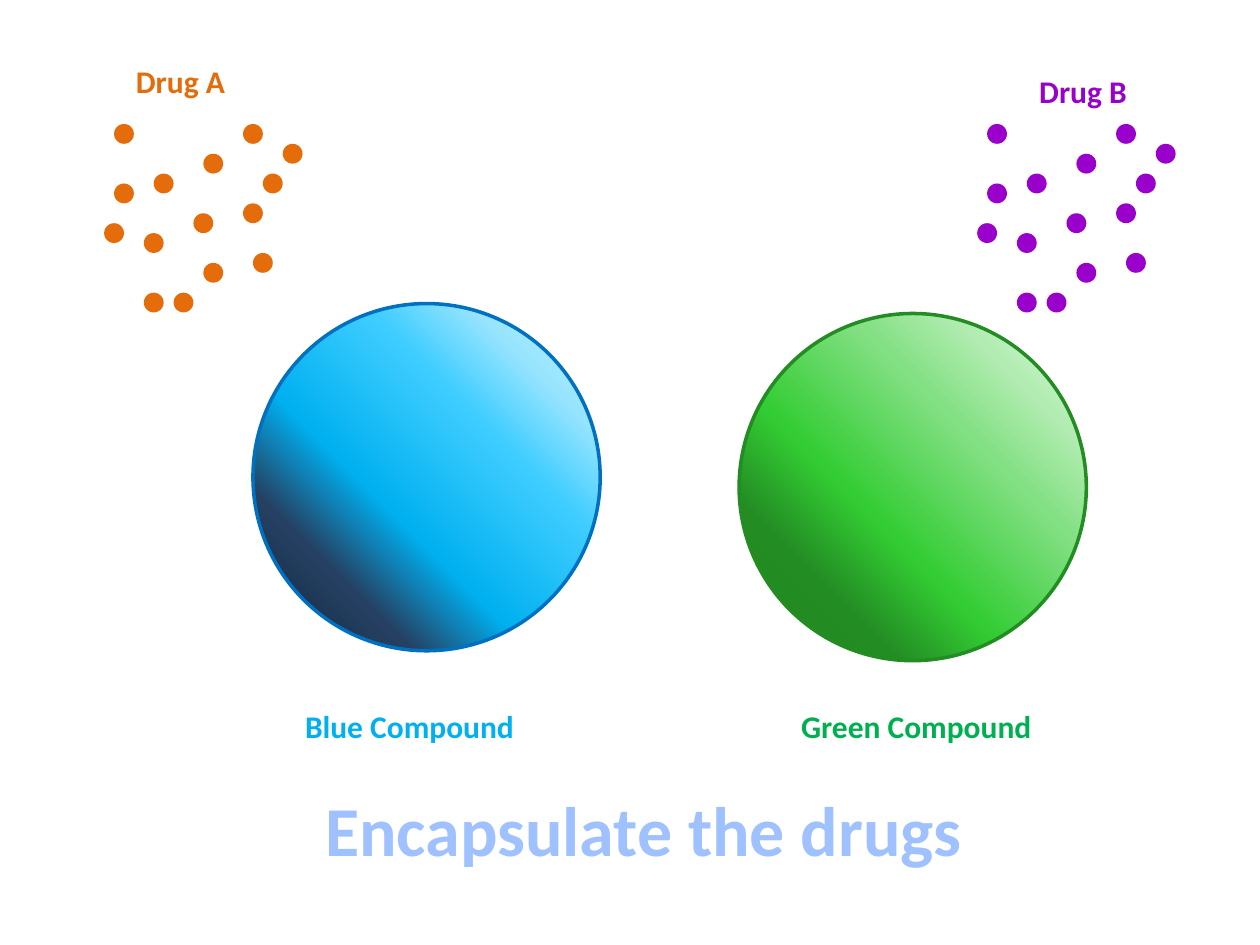
from typing import NamedTuple

from lxml.etree import SubElement
from pptx import Presentation
from pptx.dml.color import RGBColor
from pptx.enum.shapes import MSO_SHAPE
from pptx.enum.text import MSO_ANCHOR, MSO_AUTO_SIZE, PP_ALIGN
from pptx.oxml import parse_xml
from pptx.oxml.ns import nsdecls, qn
from pptx.util import Cm, Pt

FONT = "Calibri"
DOT_SIZE = 0.4
GRID_STEP = 0.2
CLOUD_TOP = 2.5
COMPOUND_SIZE = 7
DOT_CELLS = [
    (1, 0), (1, 6), (5, 5), (10, 3), (9, 9), (4, 11), (14, 8), (10, 14),
    (14, 0), (16, 5), (7, 17), (15, 13), (0, 10), (18, 2), (4, 17),
]
TOP_RIGHT_GLOW = '<a:path path="circle"><a:fillToRect l="100000" b="100000"/></a:path>'
DOWNWARD = '<a:lin ang="5400000" scaled="0"/>'
TITLE_STOPS = {0: "BFD3F9", 9: "A0C1FF", 50: "003D85", 79: "A0C1FF", 100: "BFD3F9"}


class Compound(NamedTuple):
    """A shaded sphere, placed in centimetres."""
    left: float
    top: float
    outline: str
    stops: dict[int, str]


class Label(NamedTuple):
    """A bold caption, placed in centimetres."""
    text: str
    left: float
    top: float
    width: float
    color: str


class DrugCloud(NamedTuple):
    """A scatter of drug particles."""
    left: float
    color: str


COMPOUNDS = [
    Compound(5.1, 6.12, "0070C0", {0: "C9F1FF", 19: "97E4FF", 34: "3FCDFF",
                                   60: "00B0F0", 77: "254061", 100: "0F243E"}),
    Compound(14.9, 6.32, "238D23", {0: "E4F8E4", 19: "B2ECB2", 34: "84E084",
                                    60: "33CC33", 77: "238D23", 100: "208220"}),
]
CLOUDS = [DrugCloud(2.1, "E46C0A"), DrugCloud(19.7, "9900CC")]
LABELS = [
    Label("Drug A", 2.49, 1.12, 2.34, "E46C0A"),
    Label("Drug B", 20.7, 1.32, 2.29, "9900CC"),
    Label("Blue Compound", 5.9, 14.12, 4.75, "00B0F0"),
    Label("Green Compound", 15.9, 14.12, 5.18, "00B050"),
]


def rgb(color: str) -> RGBColor:
    """Turn a hex string into a colour."""
    return RGBColor.from_string(color)


def apply_gradient(fill, properties, stops: dict[int, str], direction: str) -> None:
    """Give a shape or run a gradient with percentage stops."""
    fill.background()
    stop_list = "".join(
        f'<a:gs pos="{position * 1000}"><a:srgbClr val="{color}"/></a:gs>'
        for position, color in stops.items()
    )
    gradient = parse_xml(
        f'<a:gradFill {nsdecls("a")} rotWithShape="1">'
        f"<a:gsLst>{stop_list}</a:gsLst>{direction}</a:gradFill>"
    )
    properties.replace(properties.find(qn("a:noFill")), gradient)


def add_circle(slide, left: float, top: float, size: float):
    """Add a shadowless circle without an outline."""
    shape = slide.shapes.add_shape(MSO_SHAPE.OVAL, Cm(left), Cm(top), Cm(size), Cm(size))
    shape.shadow.inherit = False
    shape.line.fill.background()
    return shape


def add_compound(slide, compound: Compound) -> None:
    """Draw one shaded sphere."""
    shape = add_circle(slide, compound.left, compound.top, COMPOUND_SIZE)
    apply_gradient(shape.fill, shape.element.spPr, compound.stops, TOP_RIGHT_GLOW)
    shape.line.color.rgb = rgb(compound.outline)
    shape.line.width = Pt(2)


def add_cloud(slide, cloud: DrugCloud) -> None:
    """Draw the particles of one drug on the shared grid."""
    for column, row in DOT_CELLS:
        dot = add_circle(slide, cloud.left + column * GRID_STEP,
                         CLOUD_TOP + row * GRID_STEP, DOT_SIZE)
        dot.fill.solid()
        dot.fill.fore_color.rgb = rgb(cloud.color)


def write_line(shape, text: str, size: float):
    """Write one bold, unwrapped run and return it."""
    frame = shape.text_frame
    frame.word_wrap = False
    frame.auto_size = MSO_AUTO_SIZE.SHAPE_TO_FIT_TEXT
    frame.vertical_anchor = MSO_ANCHOR.TOP
    paragraph = frame.paragraphs[0]
    paragraph.alignment = PP_ALIGN.LEFT
    run = paragraph.add_run()
    run.text = text
    run.font.name = FONT
    run.font.size = Pt(size)
    run.font.bold = True
    return run


def add_label(slide, label: Label) -> None:
    """Add one caption."""
    shape = slide.shapes.add_textbox(Cm(label.left), Cm(label.top), Cm(label.width), Cm(1.03))
    run = write_line(shape, label.text, 18)
    run.font.color.rgb = rgb(label.color)


def fill_title(slide, text: str) -> None:
    """Place the title and give it gradient, outlined lettering."""
    title = slide.shapes.title
    title.left, title.top, title.width, title.height = Cm(6.3), Cm(15.72), Cm(13.51), Cm(1.96)
    run = write_line(title, text, 40)
    properties = run.font._element
    apply_gradient(run.font.fill, properties, TITLE_STOPS, DOWNWARD)
    outline = parse_xml(f'<a:ln {nsdecls("a")} w="{Pt(0.83)}"/>')
    solid = SubElement(outline, qn("a:solidFill"))
    SubElement(solid, qn("a:srgbClr"), val="467AB8")
    properties.insert(0, outline)


def main() -> None:
    """Build and save the slide."""
    presentation = Presentation()
    presentation.slide_width, presentation.slide_height = Cm(25.4), Cm(19.05)
    slide = presentation.slides.add_slide(presentation.slide_layouts[5])
    for compound in COMPOUNDS:
        add_compound(slide, compound)
    for cloud in CLOUDS:
        add_cloud(slide, cloud)
    for label in LABELS:
        add_label(slide, label)
    fill_title(slide, "Encapsulate the drugs")
    presentation.save("out.pptx")


main()
